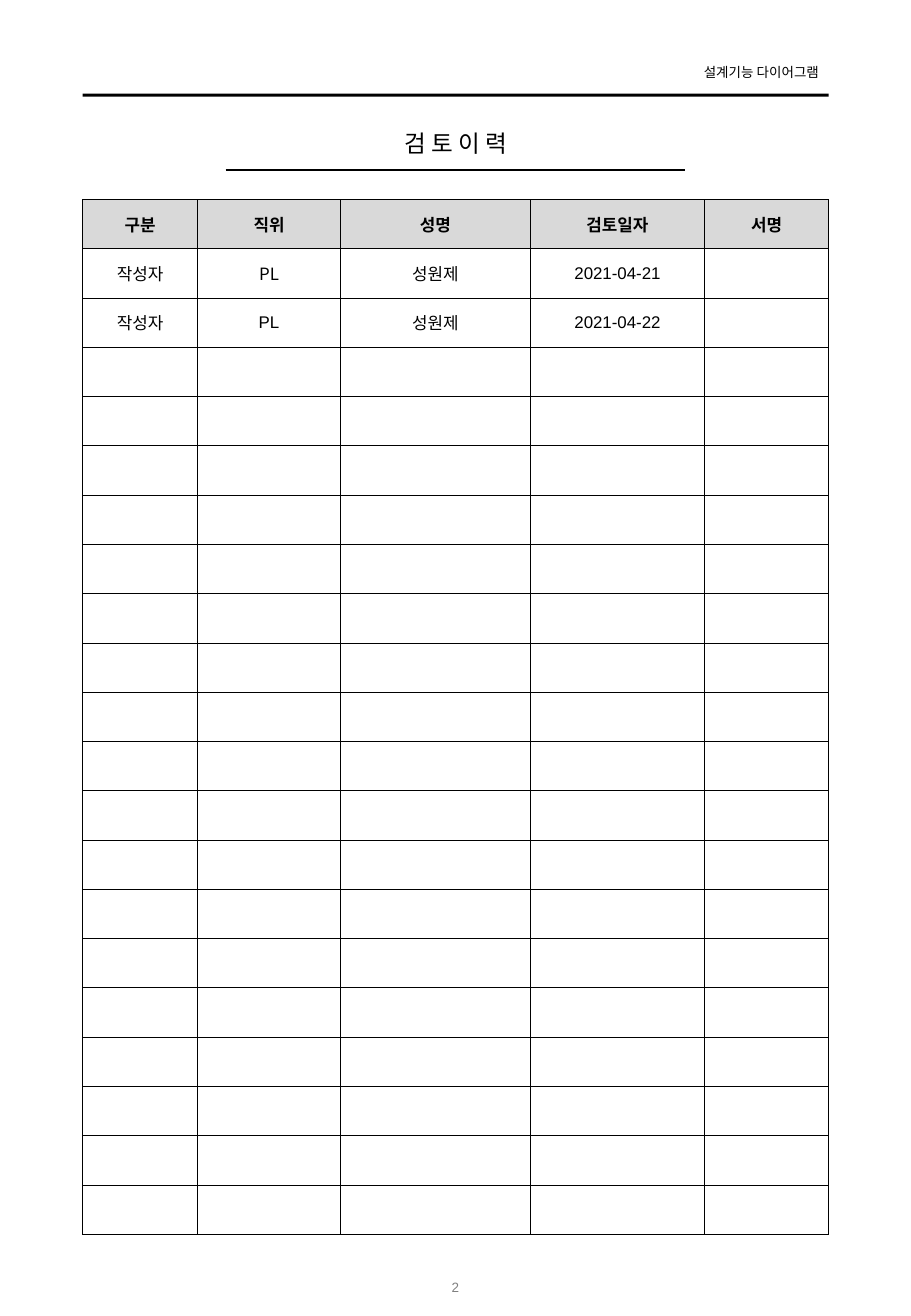
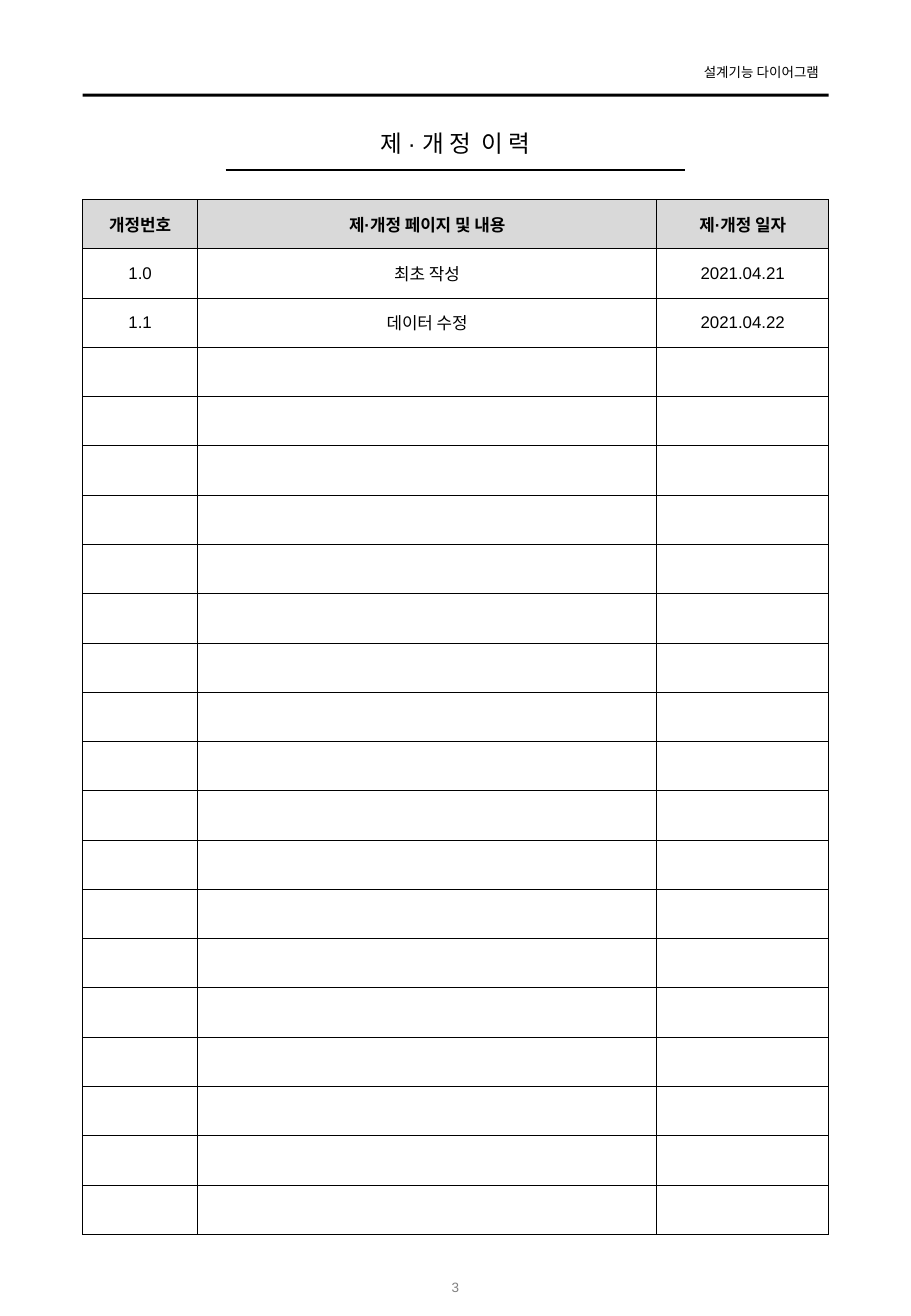
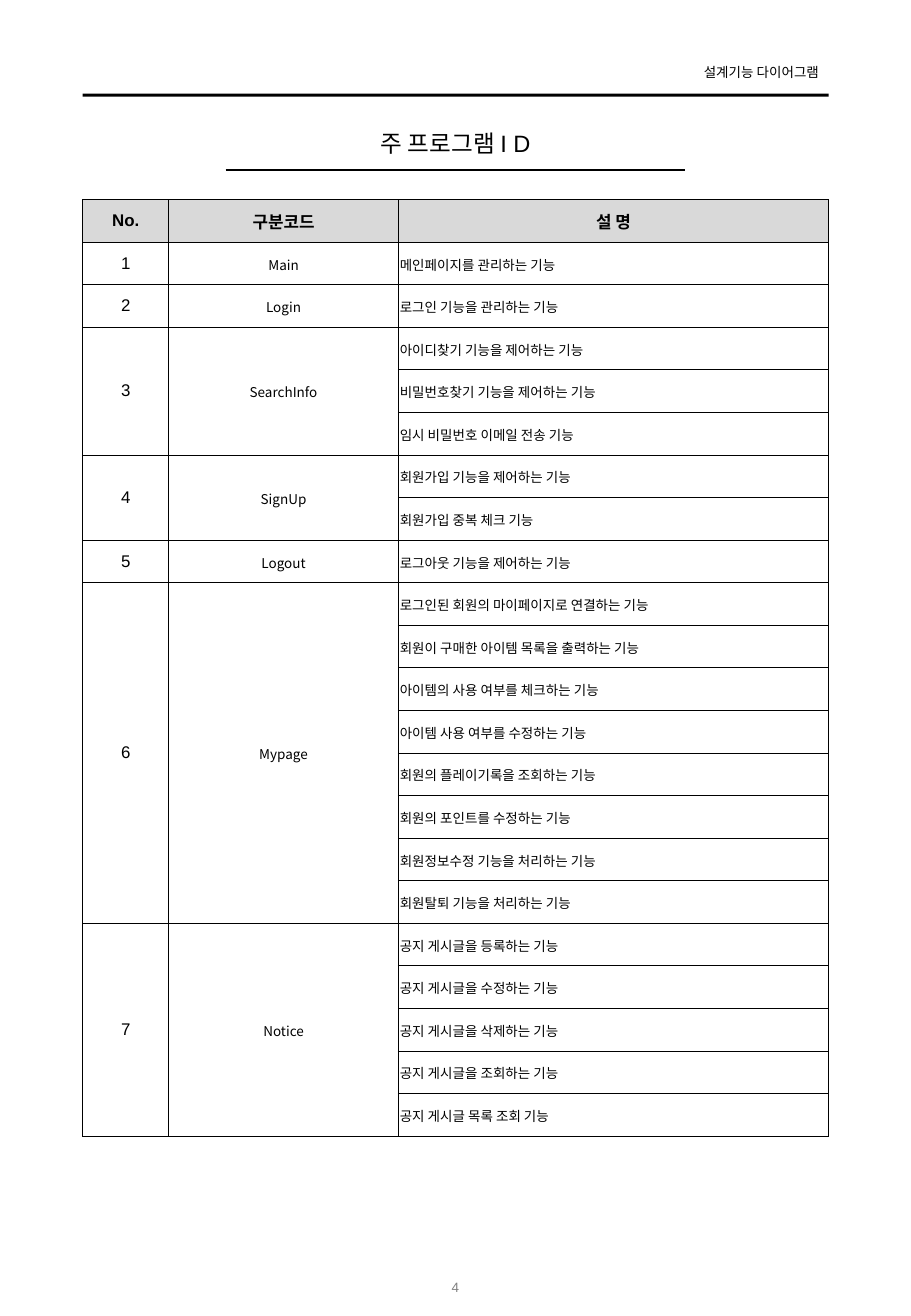
"""Build three document pages: review history, revision history and program IDs."""
from lxml import etree
from pptx import Presentation
from pptx.dml.color import RGBColor
from pptx.enum.shapes import MSO_CONNECTOR, MSO_SHAPE
from pptx.enum.text import MSO_ANCHOR, MSO_AUTO_SIZE, PP_ALIGN
from pptx.oxml.ns import qn
from pptx.util import Cm, Pt

BLACK = RGBColor(0x00, 0x00, 0x00)
GRAY = RGBColor(0x80, 0x80, 0x80)
HEADER_FILL = RGBColor(0xD9, 0xD9, 0xD9)
LATIN, KOREAN = "Arial", "Noto Sans CJK KR"
LEFT, CENTER, RIGHT = PP_ALIGN.LEFT, PP_ALIGN.CENTER, PP_ALIGN.RIGHT
TOP, MIDDLE = MSO_ANCHOR.TOP, MSO_ANCHOR.MIDDLE
FIT_SHAPE = MSO_AUTO_SIZE.SHAPE_TO_FIT_TEXT
RECT, STRAIGHT = MSO_SHAPE.RECTANGLE, MSO_CONNECTOR.STRAIGHT

MARGIN, CONTENT_W = Cm(1.73), Cm(15.6)
TABLE_TOP = Cm(4.17)
FORM_ROWS = 21


def write(tf, text, size=10, font=LATIN, color=BLACK, bold=False, align=CENTER):
    p = tf.paragraphs[0]
    p.alignment = align
    r = p.add_run()
    r.text = text
    r.font.size, r.font.name, r.font.bold = Pt(size), font, bold
    r.font.color.rgb = color
    etree.SubElement(r.font._element, qn("a:ea")).set("typeface", KOREAN)


def add_borders(cell):
    tcPr = cell._tc.get_or_add_tcPr()
    for i, side in enumerate(("lnL", "lnR", "lnT", "lnB")):
        ln = etree.Element(qn("a:" + side), w=str(Pt(0.5)))
        fill = etree.SubElement(ln, qn("a:solidFill"))
        etree.SubElement(fill, qn("a:srgbClr")).set("val", str(BLACK))
        tcPr.insert(i, ln)


PROGRAMS = [
    ("Main", ["메인페이지를 관리하는 기능"]),
    ("Login", ["로그인 기능을 관리하는 기능"]),
    ("SearchInfo", ["아이디찾기 기능을 제어하는 기능",
                    "비밀번호찾기 기능을 제어하는 기능",
                    "임시 비밀번호 이메일 전송 기능"]),
    ("SignUp", ["회원가입 기능을 제어하는 기능", "회원가입 중복 체크 기능"]),
    ("Logout", ["로그아웃 기능을 제어하는 기능"]),
    ("Mypage", ["로그인된 회원의 마이페이지로 연결하는 기능",
                "회원이 구매한 아이템 목록을 출력하는 기능",
                "아이템의 사용 여부를 체크하는 기능",
                "아이템 사용 여부를 수정하는 기능",
                "회원의 플레이기록을 조회하는 기능",
                "회원의 포인트를 수정하는 기능",
                "회원정보수정 기능을 처리하는 기능",
                "회원탈퇴 기능을 처리하는 기능"]),
    ("Notice", ["공지 게시글을 등록하는 기능",
                "공지 게시글을 수정하는 기능",
                "공지 게시글을 삭제하는 기능",
                "공지 게시글을 조회하는 기능",
                "공지 게시글 목록 조회 기능"]),
]

program_rows = [("No.", "구분코드", "설 명")]
program_spans = []
for number, (code, functions) in enumerate(PROGRAMS, 1):
    program_spans.append((len(program_rows), len(functions)))
    for i, function in enumerate(functions):
        program_rows.append(("" if i else str(number), "" if i else code, function))

review_rows = [
    ("구분", "직위", "성명", "검토일자", "서명"),
    ("작성자", "PL", "성원제", "2021-04-21", ""),
    ("작성자", "PL", "성원제", "2021-04-22", ""),
]
revision_rows = [
    ("개정번호", "제·개정 페이지 및 내용", "제·개정 일자"),
    ("1.0", "최초 작성", "2021.04.21"),
    ("1.1", "데이터 수정", "2021.04.22"),
]
for rows in (review_rows, revision_rows):
    rows += [("",) * len(rows[0])] * (FORM_ROWS - len(rows))

COMPACT = {"size": 8, "font": KOREAN}
PAGES = [
    {"title": "검 토 이 력", "rows": review_rows, "row_h": 1.03,
     "cols": (2.4, 2.99, 3.97, 3.64, 2.6), "spans": [], "column_styles": {},
     "cell_styles": {(1, 1): {"font": KOREAN}, (2, 0): {"font": KOREAN}}},
    {"title": "제 · 개 정  이 력", "rows": revision_rows, "row_h": 1.03,
     "cols": (2.4, 9.6, 3.6), "spans": [], "column_styles": {}, "cell_styles": {}},
    {"title": "주 프로그램 I D", "rows": program_rows, "row_h": 0.89,
     "cols": (1.8, 4.8, 9), "spans": program_spans,
     "column_styles": {1: COMPACT, 2: {**COMPACT, "align": LEFT}}, "cell_styles": {}},
]

prs = Presentation()
prs.slide_width, prs.slide_height = Cm(19.05), Cm(27.51)
layout = prs.slide_layouts[0]
title, subtitle = layout.placeholders[0], layout.placeholders[1]
title.left, title.top, title.width, title.height = MARGIN, Cm(2.57), CONTENT_W, Cm(0.86)
subtitle.element.getparent().remove(subtitle.element)

for number, page in enumerate(PAGES, 2):
    s = prs.slides.add_slide(layout)

    if number == 2:
        band = s.shapes.add_shape(RECT, MARGIN, Cm(1.96), CONTENT_W, Cm(0.06))
        band.shadow.inherit = False
        band.fill.solid()
        band.fill.fore_color.rgb = BLACK
        band.line.fill.background()

        header = s.shapes.add_textbox(Cm(14.2), Cm(1.22), Cm(3.13), Cm(0.61))
        tf = header.text_frame
        tf.word_wrap, tf.auto_size = False, FIT_SHAPE
        tf.margin_right = Cm(0.2)
        write(tf, "설계기능 다이어그램", size=8, align=RIGHT)

        underline = s.shapes.add_connector(STRAIGHT, Cm(4.72), Cm(3.56), Cm(14.33), Cm(3.56))
        underline.line.color.rgb = BLACK
        underline.line.width = Pt(1)
        etree.SubElement(underline.element.spPr, qn("a:effectLst"))

        for sp in (band, header, underline):
            layout.shapes.element.append(sp.element)

    tf = s.shapes.title.text_frame
    tf.word_wrap, tf.auto_size, tf.vertical_anchor = True, FIT_SHAPE, TOP
    tf.margin_left = tf.margin_right = 0
    write(tf, page["title"], size=14)

    tf = s.shapes.add_textbox(Cm(8.33), Cm(26.39), Cm(2.39), Cm(1.02)).text_frame
    tf.word_wrap, tf.vertical_anchor = True, MIDDLE
    write(tf, str(number), size=8, color=GRAY)

    rows, cols, row_h = page["rows"], page["cols"], Cm(page["row_h"])
    table = s.shapes.add_table(len(rows), len(cols), MARGIN, TABLE_TOP,
                               CONTENT_W, row_h * len(rows)).table
    table.first_row = table.horz_banding = False
    for column, width in zip(table.columns, cols):
        column.width = Cm(width)
    for row in table.rows:
        row.height = row_h
    for first, count in page["spans"]:
        if count > 1:
            for c in (0, 1):
                table.cell(first, c).merge(table.cell(first + count - 1, c))

    for i, row in enumerate(rows):
        for j, text in enumerate(row):
            cell = table.cell(i, j)
            cell.vertical_anchor = MIDDLE
            style = {"bold": True}
            if i == 0:
                cell.fill.solid()
                cell.fill.fore_color.rgb = HEADER_FILL
            else:
                cell.fill.background()
                style = page["cell_styles"].get((i, j), page["column_styles"].get(j, {}))
                if j in page["column_styles"]:
                    cell.margin_left = cell.margin_right = cell.margin_top = Cm(0.03)
                    cell.margin_bottom = 0
            add_borders(cell)
            if not cell.is_spanned:
                write(cell.text_frame, text, **style)

prs.save("out.pptx")
